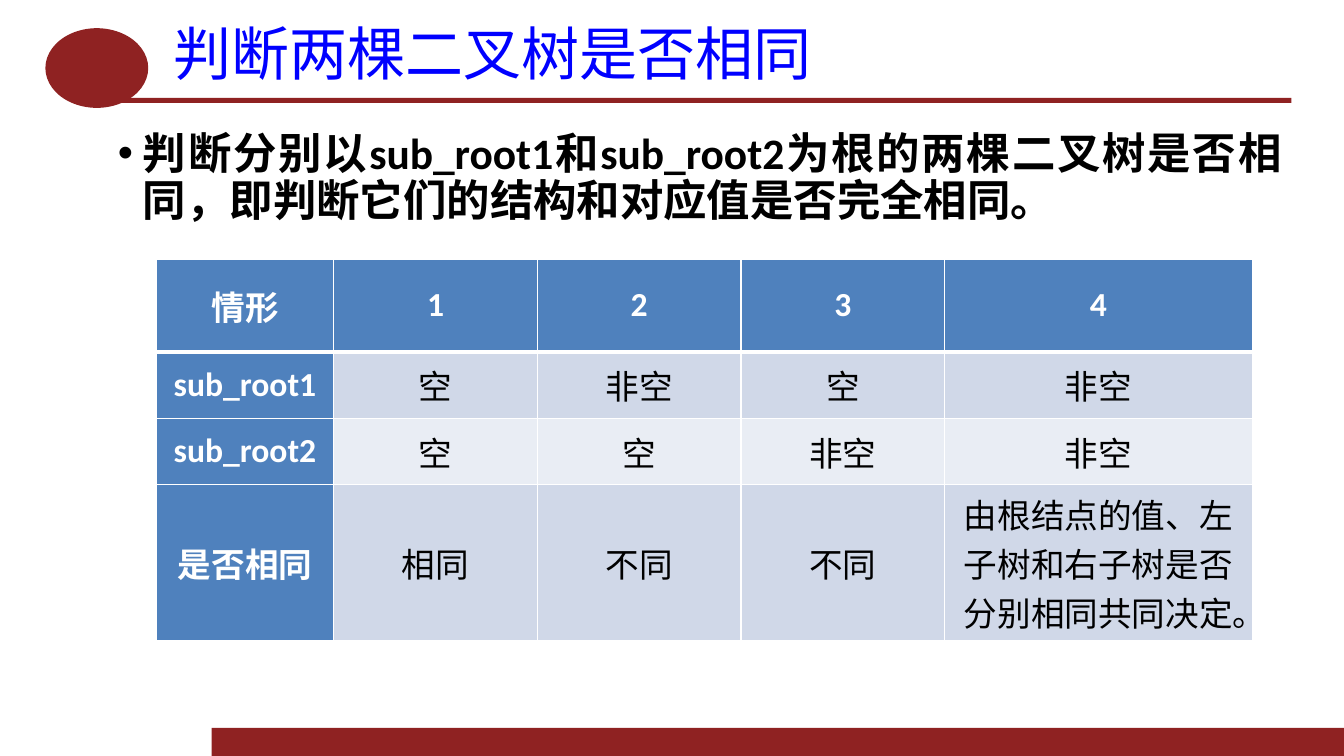
from typing import NamedTuple

from lxml import etree
from pptx import Presentation
from pptx import util as u
from pptx.dml.color import RGBColor
from pptx.enum import shapes, text
from pptx.oxml import ns

PX = 9144  # 100 px to the inch
COLORS = {
    "red": "8F2222", "blue": "0000FF", "head": "4F81BD", "odd": "D0D8E8",
    "even": "E9EDF4", "white": "FFFFFF", "black": "000000",
}
LATIN, HAN = "Calibri", "Noto Sans CJK SC"
COLS = [176, 202, 202, 202, 305]
ROWS = [92, 66, 66, 155]
CELLS = [
    ["情形", "1", "2", "3", "4"],
    ["sub_root1", "空", "非空", "空", "非空"],
    ["sub_root2", "空", "空", "非空", "非空"],
    ["是否相同", "相同", "不同", "不同",
     "由根结点的值、左子树和右子树是否分别相同共同决定。"],
]


class Box(NamedTuple):
    left: int
    top: int
    width: int
    height: int

    def emu(self) -> list[int]:
        return [side * PX for side in self]


class Style(NamedTuple):
    size: float
    color: str
    bold: bool = False
    font: str = LATIN


class Shape(NamedTuple):
    kind: shapes.MSO_SHAPE
    box: Box


DECOR = [
    Shape(shapes.MSO_SHAPE.RECTANGLE, Box(210, 722, 1123, 28)),
    Shape(shapes.MSO_SHAPE.RECTANGLE, Box(118, 97, 1163, 5)),
    Shape(shapes.MSO_SHAPE.OVAL, Box(45, 28, 102, 79)),
]


def rgb(name: str) -> RGBColor:
    return RGBColor.from_string(COLORS[name])


def add_decor(slide, item: Shape) -> None:
    shape = slide.shapes.add_shape(item.kind, *item.box.emu())
    shape.shadow.inherit = False
    shape.fill.solid()
    shape.fill.fore_color.rgb = rgb("red")
    shape.line.fill.background()


def style_text(para, style: Style) -> None:
    for run in para.runs:
        font = run.font
        font.size = u.Pt(style.size)
        font.bold = style.bold
        font.name = style.font
        font.color.rgb = rgb(style.color)
        east = etree.Element(ns.qn("a:ea"), typeface=HAN)
        run._r.rPr.find(ns.qn("a:latin")).addnext(east)


def add_text(slide, box: Box, words: str, style: Style, anchor):
    frame = slide.shapes.add_textbox(*box.emu()).text_frame
    frame.word_wrap = True
    frame.vertical_anchor = anchor
    frame.text = words
    para = frame.paragraphs[0]
    para.alignment = text.PP_ALIGN.JUSTIFY
    para.line_spacing = 0.9
    style_text(para, style)
    return para


def add_bullet(para) -> None:
    props = para._p.get_or_add_pPr()
    props.set("marL", str(25 * PX))
    props.set("indent", str(-25 * PX))
    etree.SubElement(props, ns.qn("a:buFont"), typeface="Arial")
    etree.SubElement(props, ns.qn("a:buChar"), char="•")


def add_border(cell, side: str, width: int) -> None:
    props = cell._tc.get_or_add_tcPr()
    line = etree.SubElement(props, ns.qn("a:ln" + side), w=str(u.Pt(width)))
    fill = etree.SubElement(line, ns.qn("a:solidFill"))
    etree.SubElement(fill, ns.qn("a:srgbClr"), val=COLORS["white"])


def fill_cell(cell, words: str, row: int, col: int) -> None:
    head = row == 0 or col == 0
    cell.margin_left = cell.margin_right = 8 * PX
    cell.margin_top = cell.margin_bottom = 0
    cell.vertical_anchor = text.MSO_ANCHOR.MIDDLE
    cell.text_frame.text = words
    para = cell.text_frame.paragraphs[0]
    para.alignment = text.PP_ALIGN.CENTER
    style_text(para, Style(24, "white" if head else "black", head))
    for side in "LRTB":
        thick = (row, side) in [(0, "B"), (1, "T")]
        add_border(cell, side, 3 if thick else 1)
    cell.fill.solid()
    band = "odd" if row % 2 else "even"
    cell.fill.fore_color.rgb = rgb("head" if head else band)


def add_cases(slide) -> None:
    """Draw the table of the four cases."""
    box = Box(155, 257, sum(COLS), sum(ROWS))
    table = slide.shapes.add_table(len(ROWS), len(COLS), *box.emu()).table
    for col, width in zip(table.columns, COLS):
        col.width = width * PX
    for row, height in zip(table.rows, ROWS):
        row.height = height * PX
    for r, line in enumerate(CELLS):
        for c, words in enumerate(line):
            fill_cell(table.cell(r, c), words, r, c)


def main() -> None:
    deck = Presentation()
    deck.slide_width, deck.slide_height = 1333 * PX, 750 * PX
    slide = deck.slides.add_slide(deck.slide_layouts[6])
    for item in DECOR:
        add_decor(slide, item)
    body = add_text(
        slide, Box(107, 126, 1174, 532),
        "判断分别以sub_root1和sub_root2为根的两棵二叉树是否相同，"
        "即判断它们的结构和对应值是否完全相同。",
        Style(31, "black", True), text.MSO_ANCHOR.TOP)
    add_bullet(body)
    add_text(slide, Box(162, 21, 1119, 71), "判断两棵二叉树是否相同",
             Style(41.4, "blue", font=HAN), text.MSO_ANCHOR.MIDDLE)
    add_cases(slide)
    deck.save("out.pptx")


if __name__ == "__main__":
    main()
